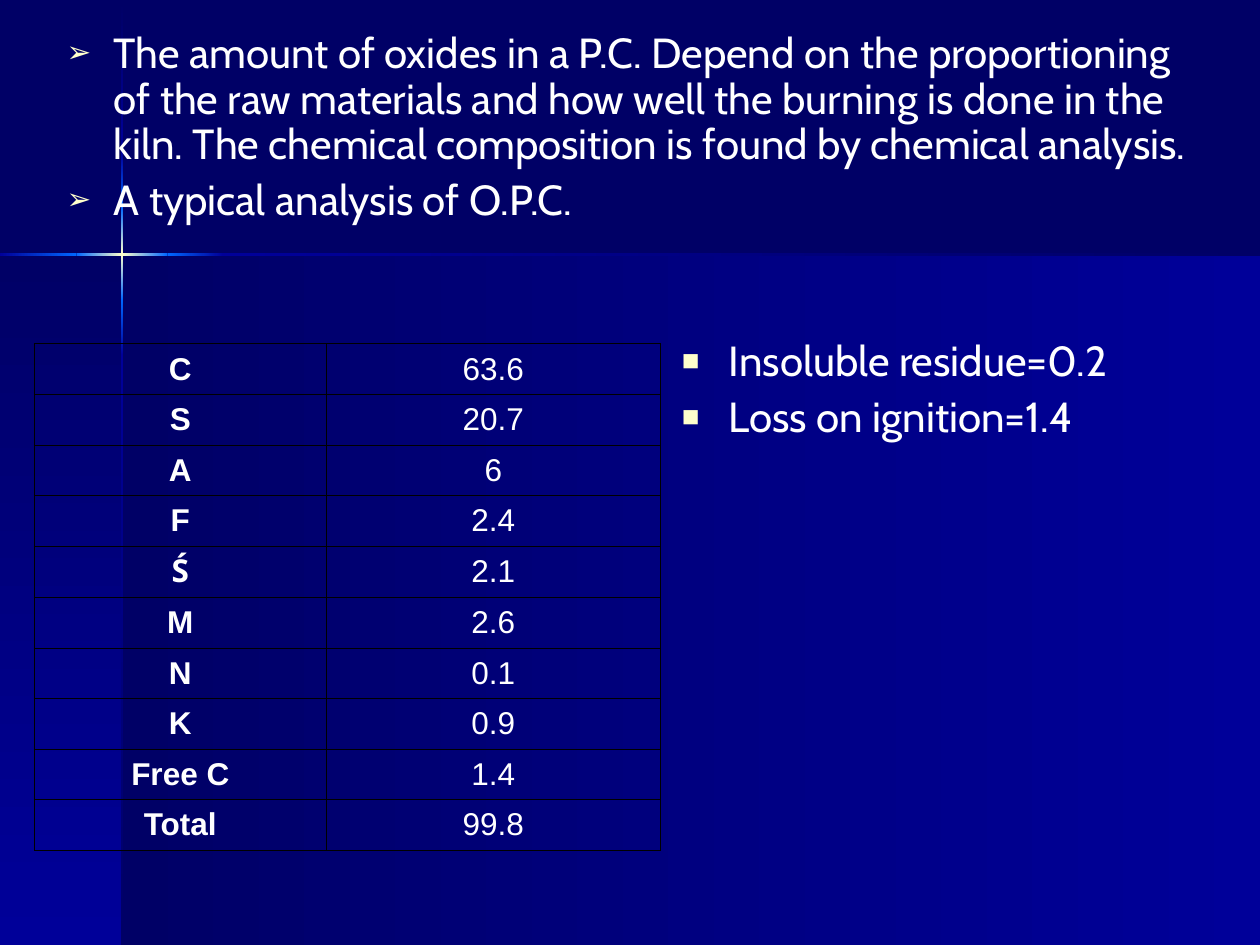
from copy import deepcopy
from itertools import pairwise

from lxml.etree import SubElement
from pptx import Presentation
from pptx.dml.color import RGBColor
from pptx.enum.shapes import MSO_SHAPE
from pptx.enum.text import MSO_ANCHOR, MSO_AUTO_SIZE, PP_ALIGN
from pptx.oxml.ns import qn
from pptx.util import Cm, Pt

# Content
COMPOSITION_NOTES = [
    "The amount of oxides in a P.C. Depend on the proportioning of the raw materials "
    "and how well the burning is done in the kiln. The chemical composition is found "
    "by chemical analysis.",
    "A typical analysis of O.P.C.",
]
RESIDUE_NOTES = ["Insoluble residue=0.2", "Loss on ignition=1.4"]
OXIDES = [
    ("C", "63.6"), ("S", "20.7"), ("A", "6"), ("F", "2.4"), ("Ś", "2.1"),
    ("M", "2.6"), ("N", "0.1"), ("K", "0.9"), ("Free C", "1.4"), ("Total", "99.8"),
]

# Colours and fonts
NAVY = RGBColor(0x00, 0x00, 0x66)
BLUE = RGBColor(0x00, 0x00, 0x99)
BRIGHT = RGBColor(0x00, 0x66, 0xFF)
CREAM = RGBColor(0xFF, 0xFF, 0xCC)
WHITE = RGBColor(0xFF, 0xFF, 0xFF)
BLACK = RGBColor(0x00, 0x00, 0x00)
NOTE_FONT, TABLE_FONT = "Cabin", "Arial"

# Geometry in centimetres
SLIDE_W, SLIDE_H = 25.4, 19.05
CROSS_X, CROSS_Y, BEAM = 2.44, 5.11, 0.05
BEAM_RAMPS = [(NAVY, BLUE), (BLUE, BRIGHT), (BRIGHT, CREAM, BRIGHT), (BRIGHT, BLUE), (BLUE, NAVY)]
VERTICAL_STOPS = [0.03, 3.07, 4.19, 6.05, 7.16, SLIDE_H]
HORIZONTAL_STOPS = [0, 1.54, 3.38, 4.5, SLIDE_W]
RIGHTWARD, DOWNWARD = 0, 270
COLUMN_WIDTHS, ROW_HEIGHT = (5.89, 6.73), 1.02


def add_gradient_box(shapes, left, top, width, height, ramp, angle):
    box = shapes.add_shape(MSO_SHAPE.RECTANGLE, Cm(left), Cm(top), Cm(width), Cm(height))
    box.shadow.inherit = False
    box.line.fill.background()
    box.fill.gradient()
    box.fill.gradient_angle = angle
    stop_list = next(box._element.iter(qn("a:gsLst")))
    for _ in ramp[2:]:
        stop_list.append(deepcopy(stop_list[-1]))
    for i, (stop, colour) in enumerate(zip(box.fill.gradient_stops, ramp)):
        stop.position = i / (len(ramp) - 1)
        stop.color.rgb = colour


def add_bullet(paragraph, char):
    props = paragraph._p.get_or_add_pPr()
    props.set("marL", str(Cm(0.95)))
    props.set("indent", str(-Cm(0.95)))
    colour = SubElement(props, qn("a:buClr"))
    SubElement(colour, qn("a:srgbClr"), val=str(CREAM))
    SubElement(props, qn("a:buSzPct"), val="70000")
    SubElement(props, qn("a:buChar"), char=char)


def fill_notes(holder, notes, bullet, left, top, width, height):
    holder.left, holder.top = Cm(left), Cm(top)
    holder.width, holder.height = Cm(width), Cm(height)
    frame = holder.text_frame
    frame.text = "\n".join(notes)
    frame.word_wrap = True
    frame.auto_size = MSO_AUTO_SIZE.NONE
    for i, paragraph in enumerate(frame.paragraphs):
        add_bullet(paragraph, bullet)
        paragraph.line_spacing = 0.9
        paragraph.space_before = Pt(6 if i else 0)
        paragraph.font.size = Pt(24)
        paragraph.font.name = NOTE_FONT
        paragraph.font.color.rgb = WHITE


def add_borders(cell):
    props = cell._tc.get_or_add_tcPr()
    for i, side in enumerate(("lnL", "lnR", "lnT", "lnB")):
        line = props.makeelement(qn(f"a:{side}"), {"w": str(Pt(0.45))})
        fill = SubElement(line, qn("a:solidFill"))
        SubElement(fill, qn("a:srgbClr"), val=str(BLACK))
        props.insert(i, line)


def add_oxide_table(shapes, left, top):
    table = shapes.add_table(
        len(OXIDES), 2, Cm(left), Cm(top), Cm(sum(COLUMN_WIDTHS)), Cm(ROW_HEIGHT * len(OXIDES))
    ).table
    table.first_row = table.horz_banding = False
    for column, width in zip(table.columns, COLUMN_WIDTHS):
        column.width = Cm(width)
    for row, oxide in zip(table.rows, OXIDES):
        row.height = Cm(ROW_HEIGHT)
        for i, (cell, text) in enumerate(zip(row.cells, oxide)):
            cell.text = text
            cell.fill.background()
            cell.vertical_anchor = MSO_ANCHOR.MIDDLE
            add_borders(cell)
            paragraph = cell.text_frame.paragraphs[0]
            paragraph.alignment = PP_ALIGN.CENTER
            paragraph.font.size = Pt(18)
            paragraph.font.name = NOTE_FONT if text == "Ś" else TABLE_FONT
            paragraph.font.bold = i == 0
            paragraph.font.color.rgb = WHITE


def main():
    deck = Presentation()
    deck.slide_width, deck.slide_height = Cm(SLIDE_W), Cm(SLIDE_H)
    slide = deck.slides.add_slide(deck.slide_layouts[3])  # two content
    shapes = slide.shapes
    title, composition, residue = list(slide.placeholders)[:3]
    title._element.getparent().remove(title._element)

    # Background panels and light cross
    slide.background.fill.solid()
    slide.background.fill.fore_color.rgb = NAVY
    panel_top, panel_left = CROSS_Y + BEAM / 2, CROSS_X + BEAM / 2
    panel_h = SLIDE_H - panel_top
    add_gradient_box(shapes, panel_left, panel_top, SLIDE_W - panel_left, panel_h, (NAVY, BLUE), RIGHTWARD)
    add_gradient_box(shapes, 0, panel_top, panel_left, panel_h, (NAVY, BLUE), DOWNWARD)
    for (start, end), ramp in zip(pairwise(VERTICAL_STOPS), BEAM_RAMPS):
        add_gradient_box(shapes, CROSS_X, start, BEAM, end - start, ramp, DOWNWARD)
    for (start, end), ramp in zip(pairwise(HORIZONTAL_STOPS), BEAM_RAMPS[1:]):
        add_gradient_box(shapes, start, CROSS_Y, end - start, BEAM, ramp, RIGHTWARD)

    # Notes, brought in front of the background
    fill_notes(composition, COMPOSITION_NOTES, "➢", 1.09, 0.53, 23.22, 5.41)
    fill_notes(residue, RESIDUE_NOTES, "■", 13.49, 6.73, 11.23, 3.81)
    for holder in (composition, residue):
        shapes._spTree.append(holder._element)

    # Oxide analysis
    add_oxide_table(shapes, 0.69, 6.93)
    deck.save("out.pptx")


if __name__ == "__main__":
    main()
